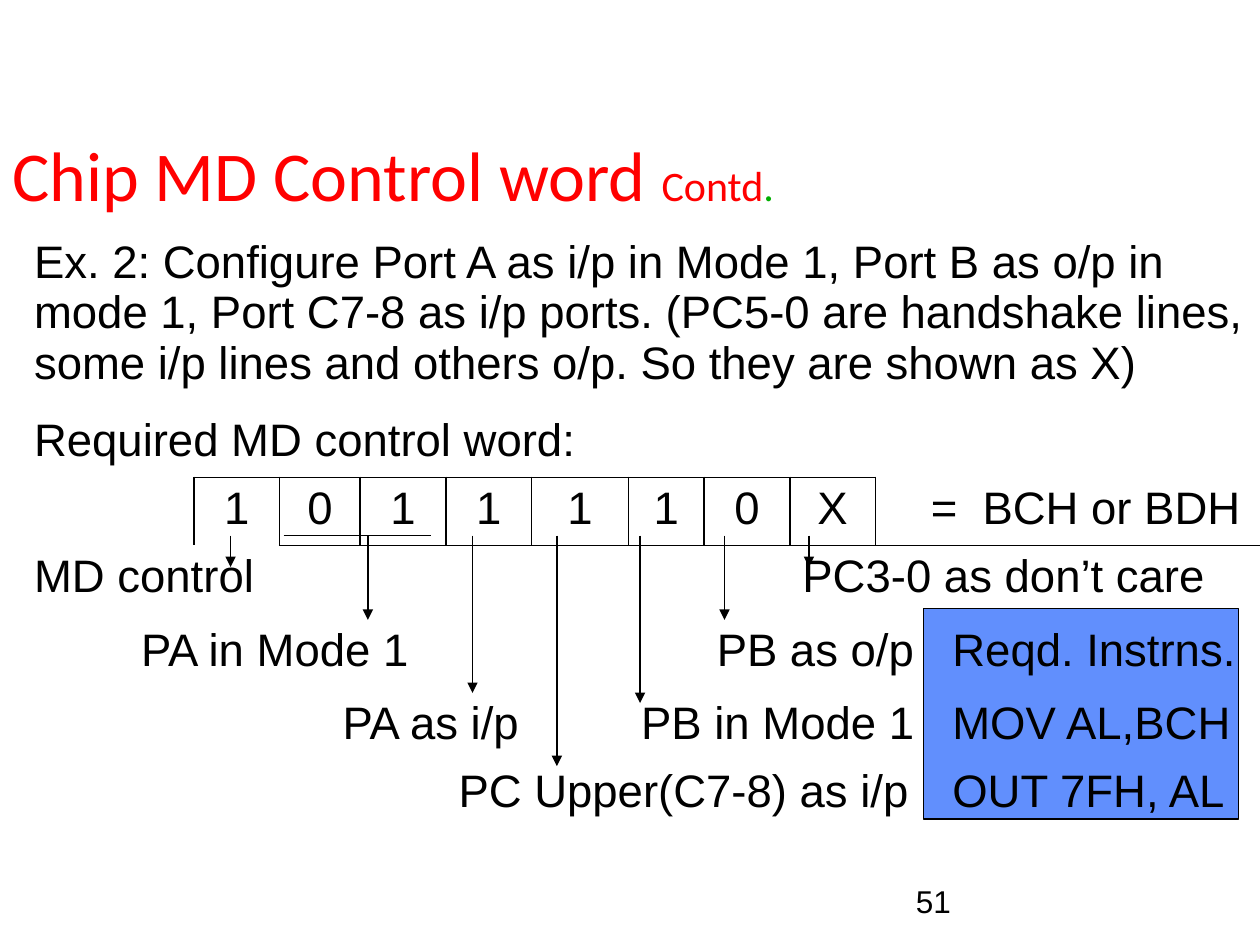
from lxml import etree
from pptx import Presentation
from pptx.dml.color import RGBColor
from pptx.enum import shapes, text
from pptx.oxml import ns
from pptx.util import Inches, Pt

BLACK, RED, GREEN, BLUE = "000000", "FF0000", "00AE00", "618FFD"
COLUMNS = [0.85, 0.52, 0.68, 0.2, 0.4, 0.68, 0.68, 0.77, 0.6, 0.68, 0.68, 0.51, 0.2, 2.38]
ROWS = [1.42, 0.54, 0.54, 0.58, 0.58, 0.54, 0.54]
BIT_ROW = 2
LEFT, CENTER, RIGHT = text.PP_ALIGN.LEFT, text.PP_ALIGN.CENTER, text.PP_ALIGN.RIGHT

# row, column, column span, wording, alignment
CELLS = [
    (0, 0, 14, "Ex. 2: Configure Port A as i/p in Mode 1, Port B as o/p in mode 1, "
               "Port C7-8 as i/p ports. (PC5-0 are handshake lines, some i/p lines "
               "and others o/p. So they are shown as X)", LEFT),
    (1, 0, 8, "Required MD control word:", LEFT),
    (2, 11, 2, "=", RIGHT),
    (2, 13, 1, "BCH or BDH", LEFT),
    (3, 0, 3, "MD control", LEFT),
    (3, 10, 4, "PC3-0 as don’t care", LEFT),
    (4, 1, 5, "PA in Mode 1", LEFT),
    (4, 9, 5, "PB as o/p\tReqd. Instrns.", LEFT),
    (5, 2, 5, "PA as i/p", RIGHT),
    (5, 8, 4, "PB in Mode 1", LEFT),
    (5, 12, 2, "MOV AL,BCH", LEFT),
    (6, 6, 6, "PC Upper(C7-8) as i/p", LEFT),
    (6, 12, 2, "OUT 7FH, AL", LEFT),
]
BIT_COLUMNS = [2, 3, 5, 6, 7, 8, 9, 10]
CELLS += [(BIT_ROW, column, 2 if column == 3 else 1, bit, CENTER)
          for column, bit in zip(BIT_COLUMNS, "1011110X")]

# x and lower end of each arrow that starts below the bits
ARROWS = [(5.75, 4.92), (6.42, 4.5), (1.83, 4.5), (3.75, 5.5),
          (4.42, 6.08), (5.08, 5.58), (2.92, 4.92)]


def rgb(color):
    return RGBColor.from_string(color)


def add_run(paragraph, wording, size, font, color):
    run = paragraph.add_run()
    run.text = wording
    run.font.size = Pt(size)
    run.font.name = font
    run.font.color.rgb = rgb(color)


def add_textbox(slide, left, top, width, height, runs, anchor=text.MSO_ANCHOR.TOP):
    frame = slide.shapes.add_textbox(
        Inches(left), Inches(top), Inches(width), Inches(height)).text_frame
    frame.word_wrap = True
    frame.vertical_anchor = anchor
    for run in runs:
        add_run(frame.paragraphs[0], *run)


def add_instruction_panel(slide, left, top, width, height):
    panel = slide.shapes.add_shape(
        shapes.MSO_SHAPE.RECTANGLE, Inches(left), Inches(top), Inches(width), Inches(height))
    panel.shadow.inherit = False
    panel.fill.solid()
    panel.fill.fore_color.rgb = rgb(BLUE)
    panel.line.color.rgb = rgb(BLACK)
    panel.line.width = Pt(0.75)


def has_rule_above(row, column):
    return (row == BIT_ROW and 2 <= column <= 10) or (row == BIT_ROW + 1 and column >= 3)


def has_rule_before(row, column):
    return row == BIT_ROW and column in BIT_COLUMNS + [11]


def set_borders(cell, row, column):
    span = cell.span_width if cell.is_merge_origin else 1
    edges = {
        "lnL": has_rule_before(row, column),
        "lnR": has_rule_before(row, column + span),
        "lnT": has_rule_above(row, column),
        "lnB": has_rule_above(row + 1, column),
    }
    properties = cell._tc.get_or_add_tcPr()
    for tag, ruled in edges.items():
        edge = etree.SubElement(properties, ns.qn("a:" + tag), w=str(Pt(1)))
        if ruled:
            fill = etree.SubElement(edge, ns.qn("a:solidFill"))
            etree.SubElement(fill, ns.qn("a:srgbClr"), val=BLACK)
        else:
            etree.SubElement(edge, ns.qn("a:noFill"))


def add_tab_stop(paragraph, position):
    stops = etree.SubElement(paragraph._p.get_or_add_pPr(), ns.qn("a:tabLst"))
    etree.SubElement(stops, ns.qn("a:tab"), pos=str(Inches(position)), algn="l")


def add_control_word_table(slide, left, top):
    table = slide.shapes.add_table(
        len(ROWS), len(COLUMNS), Inches(left), Inches(top),
        Inches(sum(COLUMNS)), Inches(sum(ROWS))).table
    table.first_row = table.horz_banding = False
    for column, width in zip(table.columns, COLUMNS):
        column.width = Inches(width)
    for row, height in zip(table.rows, ROWS):
        row.height = Inches(height)

    for row, column, span, wording, alignment in CELLS:
        cell = table.cell(row, column)
        if span > 1:
            cell.merge(table.cell(row, column + span - 1))
        paragraph = cell.text_frame.paragraphs[0]
        paragraph.alignment = alignment
        if "\t" in wording:
            add_tab_stop(paragraph, 1.87)
        add_run(paragraph, wording, 26, "Arial", BLACK)

    for row in range(len(ROWS)):
        for column in range(len(COLUMNS)):
            cell = table.cell(row, column)
            set_borders(cell, row, column)
            cell.fill.background()


def add_line(slide, x1, y1, x2, y2, arrow=True):
    line = slide.shapes.add_connector(
        shapes.MSO_CONNECTOR.STRAIGHT, Inches(x1), Inches(y1), Inches(x2), Inches(y2))
    line.line.color.rgb = rgb(BLACK)
    line.line.width = Pt(0.75)
    if arrow:
        etree.SubElement(line.line._get_or_add_ln(), ns.qn("a:tailEnd"), type="triangle")
    etree.SubElement(line._element.spPr, ns.qn("a:effectLst"))


def add_bit_arrows(slide, top):
    for x, bottom in ARROWS:
        add_line(slide, x, top, x, bottom)
    add_line(slide, 2.25, top, 3.42, top, arrow=False)


def main():
    deck = Presentation()
    deck.slide_width, deck.slide_height = Inches(10), Inches(7.5)
    slide = deck.slides.add_slide(deck.slide_layouts[6])
    add_instruction_panel(slide, 7.33, 4.83, 2.5, 1.67)
    add_textbox(slide, 0, 1, 6.92, 0.75, [
        ("Chip MD Control word ", 40, "Calibri", RED),
        ("Contd", 24, "Calibri", RED),
        (".", 24, "Calibri", GREEN),
    ], text.MSO_ANCHOR.MIDDLE)
    add_control_word_table(slide, 0.17, 1.83)
    add_bit_arrows(slide, 4.25)
    add_textbox(slide, 7.17, 6.95, 2.33, 0.4, [("51", 18, "Arial", BLACK)])
    deck.save("out.pptx")


if __name__ == "__main__":
    main()
